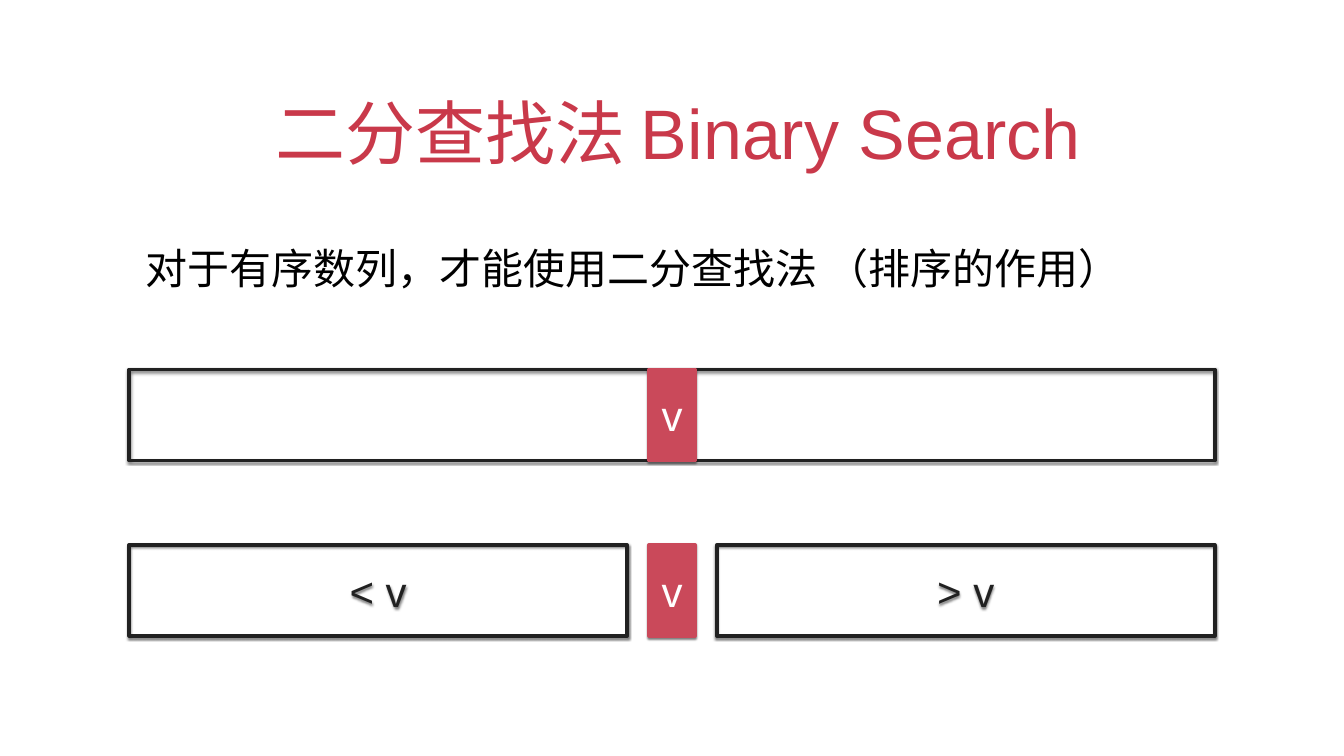
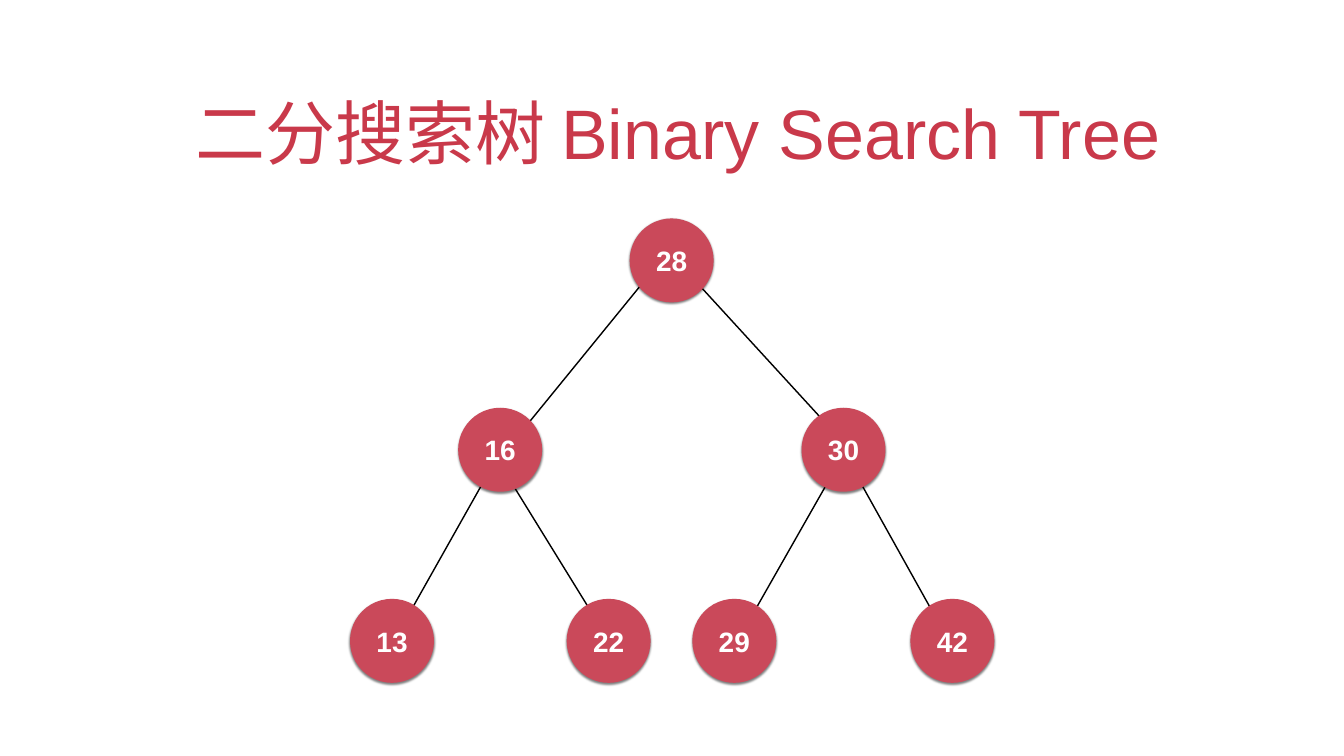
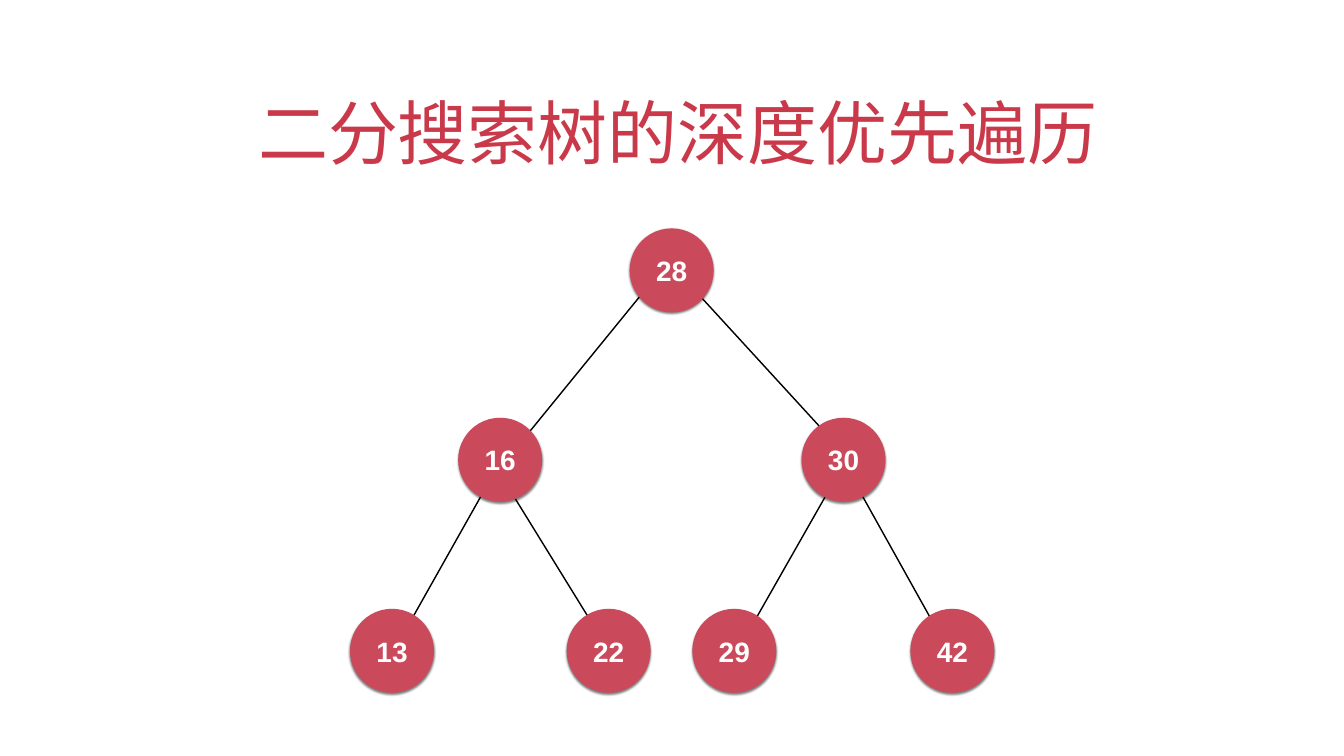
from dataclasses import dataclass

from lxml import etree
from pptx import Presentation
from pptx.dml.color import RGBColor
from pptx.enum.shapes import MSO_CONNECTOR as Connector, MSO_SHAPE as Preset
from pptx.enum.text import MSO_ANCHOR as Anchor, MSO_AUTO_SIZE as AutoSize, PP_ALIGN as Align
from pptx.oxml import parse_xml
from pptx.oxml.ns import nsdecls, qn
from pptx.util import Pt

# Content
SEARCH_TITLE = "二分查找法 Binary Search"
SEARCH_NOTE = "对于有序数列，才能使用二分查找法 （排序的作用）"
PIVOT, SMALLER, LARGER = "v", "< v", "> v"

# (title, downward shift of the tree)
TREE_SLIDES = [
    ("二分搜索树 Binary Search Tree", 0),
    ("二分搜索树的深度优先遍历", 14.25),
]
# key: (centre x, level)
NODES = {
    28: (959.5, 0),
    16: (714.5, 1), 30: (1205, 1),
    13: (560, 2), 22: (869.5, 2), 29: (1049, 2), 42: (1360.5, 2),
}
# (child, parent, offset from child centre, offset from parent centre)
EDGES = [
    (30, 28, (13, 4), (7, 0)),
    (16, 28, (-2, 14), (-7, -10)),
    (29, 30, (3, 3), (0, 7)),
    (22, 16, (0, -1), (-6, 11)),
    (42, 30, (1, 11), (-3, -2)),
    (13, 16, (1, 3), (-2, 7)),
]


@dataclass(frozen=True)
class Theme:
    font: str = "Arial"
    title: str = "C9394A"
    accent: str = "CA495A"
    dark: str = "212121"
    black: str = "000000"
    white: str = "FFFFFF"
    title_size: int = 100
    text_size: int = 60
    node_size: int = 40
    border: int = 5
    edge: int = 2
    inset: int = 4


THEME = Theme()

# Layout, in points
SLIDE_WIDTH, SLIDE_HEIGHT = 1920, 1080
TITLE_BOX = (139.5, 91.5, 1640, 160)
TITLE_INDENT = 18
NOTE_BOX = (203.5, 318, 1513, 92)
BAR_WIDTH, HALF_WIDTH, PIVOT_WIDTH, BAR_HEIGHT = 1551, 711.5, 65.5, 130
WHOLE_TOP, SPLIT_TOP = 528, 778.5
LEVEL_Y = (372, 642.5, 915.5)
NODE_DIAMETER = 120


def points(values):
    return [Pt(value) for value in values]


def rgb(color):
    return RGBColor.from_string(color)


def write(shape, text, size, color, align=Align.CENTER, anchor=Anchor.MIDDLE, bold=False):
    frame = shape.text_frame
    frame.word_wrap = True
    frame.auto_size = AutoSize.NONE
    frame.vertical_anchor = anchor
    frame.margin_left = frame.margin_right = Pt(THEME.inset)
    frame.margin_top = frame.margin_bottom = Pt(THEME.inset)
    paragraph = frame.paragraphs[0]
    paragraph.alignment = align
    run = paragraph.add_run()
    run.text = text
    run.font.name = THEME.font
    run.font.size = Pt(size)
    run.font.bold = bold
    run.font.color.rgb = rgb(color)
    return paragraph


def add_shadow(shape):
    """Give the shape a soft black shadow falling straight down."""
    shape.shadow.inherit = False
    effects = shape._element.spPr.find(qn("a:effectLst"))
    effects.append(parse_xml(
        f'<a:outerShdw {nsdecls("a")} blurRad="{Pt(3)}" dist="{Pt(2)}" dir="5400000" rotWithShape="0">'
        f'<a:srgbClr val="{THEME.black}"><a:alpha val="50000"/></a:srgbClr></a:outerShdw>'))


def add_block(shapes, preset, box, fill=None, line=None):
    shape = shapes.add_shape(preset, *points(box))
    if fill:
        shape.fill.solid()
        shape.fill.fore_color.rgb = rgb(fill)
    else:
        shape.fill.background()
    if line:
        shape.line.color.rgb = rgb(line)
        shape.line.width = Pt(THEME.border)
    else:
        shape.line.fill.background()
    add_shadow(shape)
    return shape


def add_titled_slide(presentation, text):
    slide = presentation.slides.add_slide(presentation.slide_layouts[0])
    subtitle = slide.placeholders[1].element
    subtitle.getparent().remove(subtitle)
    title = slide.shapes.title
    title.left, title.top, title.width, title.height = points(TITLE_BOX)
    paragraph = write(title, text, THEME.title_size, THEME.title, anchor=Anchor.BOTTOM)
    properties = paragraph._p.get_or_add_pPr()
    properties.set("marL", "0")
    properties.set("indent", str(Pt(TITLE_INDENT)))
    return slide


def add_bar(shapes, left, top, width, text=None):
    bar = add_block(shapes, Preset.RECTANGLE, (left, top, width, BAR_HEIGHT), line=THEME.dark)
    if text:
        write(bar, text, THEME.text_size, THEME.dark)


def add_pivot(shapes, top):
    box = ((SLIDE_WIDTH - PIVOT_WIDTH) / 2, top, PIVOT_WIDTH, BAR_HEIGHT)
    pivot = add_block(shapes, Preset.RECTANGLE, box, THEME.accent, THEME.accent)
    write(pivot, PIVOT, THEME.text_size, THEME.white)


def build_search_slide(presentation):
    slide = add_titled_slide(presentation, SEARCH_TITLE)
    note = slide.shapes.add_textbox(*points(NOTE_BOX))
    paragraph = write(note, SEARCH_NOTE, THEME.text_size, THEME.black, align=Align.LEFT)
    paragraph.line_spacing = 1.5
    note.text_frame.auto_size = AutoSize.SHAPE_TO_FIT_TEXT

    left = (SLIDE_WIDTH - BAR_WIDTH) / 2
    add_bar(slide.shapes, left, WHOLE_TOP, BAR_WIDTH)
    add_pivot(slide.shapes, WHOLE_TOP)

    split = slide.shapes.add_group_shape().shapes
    add_bar(split, left, SPLIT_TOP, HALF_WIDTH, SMALLER)
    add_pivot(split, SPLIT_TOP)
    add_bar(split, left + BAR_WIDTH - HALF_WIDTH, SPLIT_TOP, HALF_WIDTH, LARGER)


def add_edge(shapes, start, end):
    edge = shapes.add_connector(Connector.STRAIGHT, *points(start + end))
    edge.line.color.rgb = rgb(THEME.black)
    edge.line.width = Pt(THEME.edge)
    etree.SubElement(edge._element.spPr, qn("a:effectLst"))


def build_tree_slide(presentation, title, shift):
    slide = add_titled_slide(presentation, title)
    tree = slide.shapes.add_group_shape().shapes
    centres = {key: (x, LEVEL_Y[level] + shift) for key, (x, level) in NODES.items()}

    def near(key, offset):
        return centres[key][0] + offset[0], centres[key][1] + offset[1]

    for child, parent, child_offset, parent_offset in EDGES:
        add_edge(tree, near(child, child_offset), near(parent, parent_offset))
    radius = NODE_DIAMETER / 2
    for key in NODES:
        corner = near(key, (-radius, -radius))
        node = add_block(tree, Preset.OVAL, corner + (NODE_DIAMETER, NODE_DIAMETER), THEME.accent)
        write(node, str(key), THEME.node_size, THEME.white, bold=True)


def main():
    presentation = Presentation()
    presentation.slide_width = Pt(SLIDE_WIDTH)
    presentation.slide_height = Pt(SLIDE_HEIGHT)
    build_search_slide(presentation)
    for title, shift in TREE_SLIDES:
        build_tree_slide(presentation, title, shift)
    presentation.save("out.pptx")


if __name__ == "__main__":
    main()
